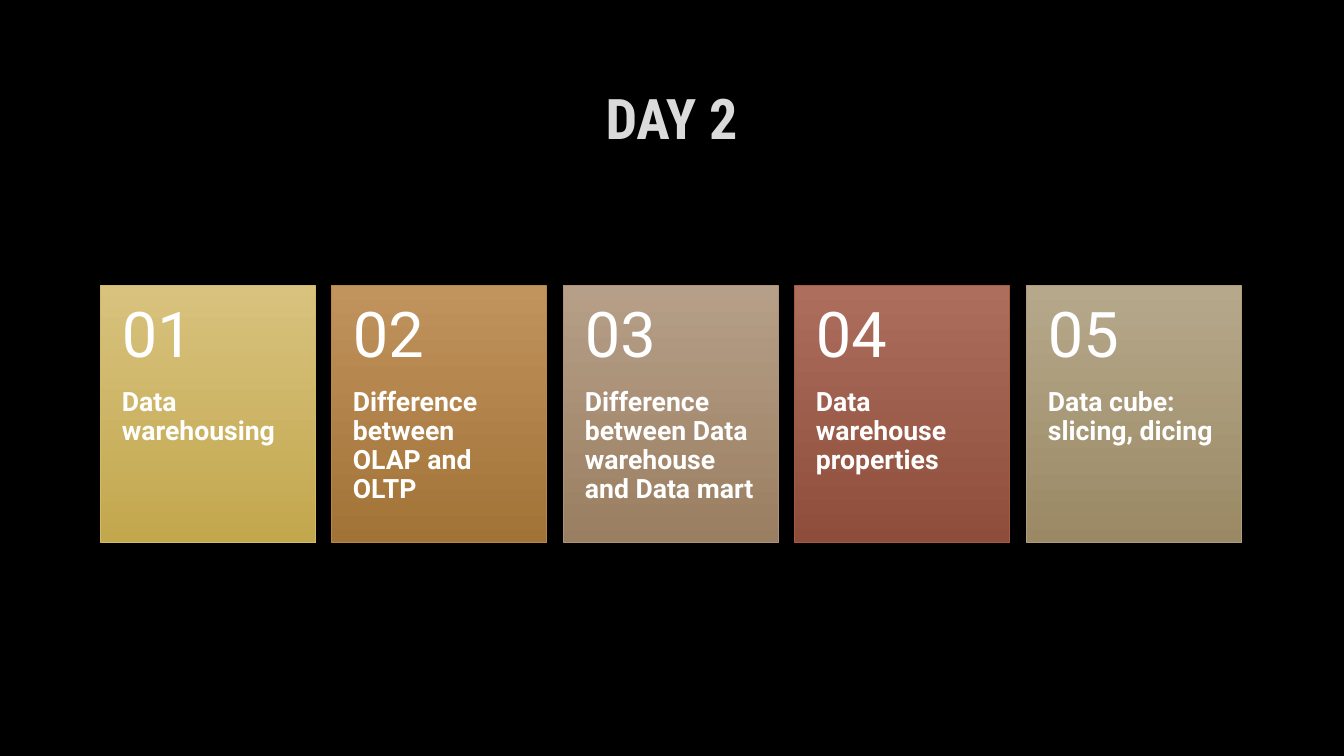
from dataclasses import dataclass

from lxml import etree
from pptx import Presentation
from pptx import util as u
from pptx.dml.color import RGBColor
from pptx.enum import shapes, text
from pptx.oxml import ns

SCALE = 914400 / 100.8  # EMU in one px
HEX = {"back": "000000", "title": "DADADA", "edge": "404040", "text": "FFFFFF"}
LEFT, RIGHT, TOP = 101, 1242, 286
WIDE, TALL, HEAD = 215, 257, 103


@dataclass
class Card:
    label: str
    light: str
    dark: str
    line: str


@dataclass
class Box:
    left: int
    top: int
    wide: int
    tall: int


@dataclass
class Style:
    font: str
    size: int
    color: str
    bold: bool = False
    align: text.PP_ALIGN = text.PP_ALIGN.LEFT
    anchor: text.MSO_ANCHOR = text.MSO_ANCHOR.MIDDLE
    pad: tuple[int, int, int, int] = (10, 5, 10, 5)


CARDS = [
    Card("Data warehousing", "D8C27E", "C2A74D", "D3BA68"),
    Card("Difference between OLAP and OLTP", "C1935D", "A17337", "BB8640"),
    Card("Difference between Data warehouse and Data mart",
         "B69F88", "9A7E61", "AD9277"),
    Card("Data warehouse properties", "AD6E5E", "8E4D3A", "A55A43"),
    Card("Data cube: slicing, dicing", "B6A88B", "9A8964", "AD9D7B"),
]
TITLE = Style("Roboto Condensed", 40, HEX["title"], True, text.PP_ALIGN.CENTER)
NUMBER = Style("Roboto", 45, HEX["text"], pad=(21, 18, 21, 18))
LABEL = Style("Roboto", 19, HEX["text"], True,
              anchor=text.MSO_ANCHOR.TOP, pad=(21, 0, 21, 36))


def px(count: int) -> u.Emu:
    return u.Emu(round(count * SCALE))


def place(box: Box) -> tuple[u.Emu, ...]:
    return px(box.left), px(box.top), px(box.wide), px(box.tall)


def rgb(code: str) -> RGBColor:
    return RGBColor.from_string(code)


def write(slide, box: Box, words: str, style: Style):
    """Add a text box of one paragraph and return its run."""
    frame = slide.shapes.add_textbox(*place(box)).text_frame
    frame.word_wrap = True
    frame.vertical_anchor = style.anchor
    (frame.margin_left, frame.margin_top,
     frame.margin_right, frame.margin_bottom) = map(px, style.pad)
    para = frame.paragraphs[0]
    para.alignment = style.align
    para.line_spacing = 0.9
    run = para.add_run()
    run.text = words
    run.font.name = style.font
    run.font.size = u.Pt(style.size)
    run.font.bold = style.bold
    run.font.color.rgb = rgb(style.color)
    return run


def edge(run, code: str) -> None:
    """Give the letters a faint outline."""
    line = etree.Element(ns.qn("a:ln"), w=str(u.Pt(0.75)))
    fill = etree.SubElement(line, ns.qn("a:solidFill"))
    color = etree.SubElement(fill, ns.qn("a:srgbClr"), val=code)
    etree.SubElement(color, ns.qn("a:alpha"), val="10000")
    run.font._element.insert(0, line)


def draw(slide, card: Card, left: int, number: int) -> None:
    box = Box(left, TOP, WIDE, TALL)
    tile = slide.shapes.add_shape(shapes.MSO_SHAPE.RECTANGLE, *place(box))
    tile.shadow.inherit = False
    tile.fill.gradient()
    tile.fill.gradient_angle = 270
    for stop, code in zip(tile.fill.gradient_stops, (card.light, card.dark)):
        stop.color.rgb = rgb(code)
    tile.line.color.rgb = rgb(card.line)
    tile.line.width = u.Pt(0.75)
    write(slide, Box(left, TOP + HEAD, WIDE, TALL - HEAD), card.label, LABEL)
    write(slide, Box(left, TOP, WIDE, HEAD), f"{number:02}", NUMBER)


def main() -> None:
    deck = Presentation()
    deck.slide_width, deck.slide_height = px(1344), px(756)
    slide = deck.slides.add_slide(deck.slide_layouts[6])
    back = slide.background.fill
    back.solid()
    back.fore_color.rgb = rgb(HEX["back"])
    title = write(slide, Box(LEFT, 68, RIGHT - LEFT, 107), "DAY 2", TITLE)
    edge(title, HEX["edge"])
    span = RIGHT - WIDE - LEFT
    for i, card in enumerate(CARDS):
        draw(slide, card, LEFT + span * i // (len(CARDS) - 1), i + 1)
    deck.save("out.pptx")


if __name__ == "__main__":
    main()
